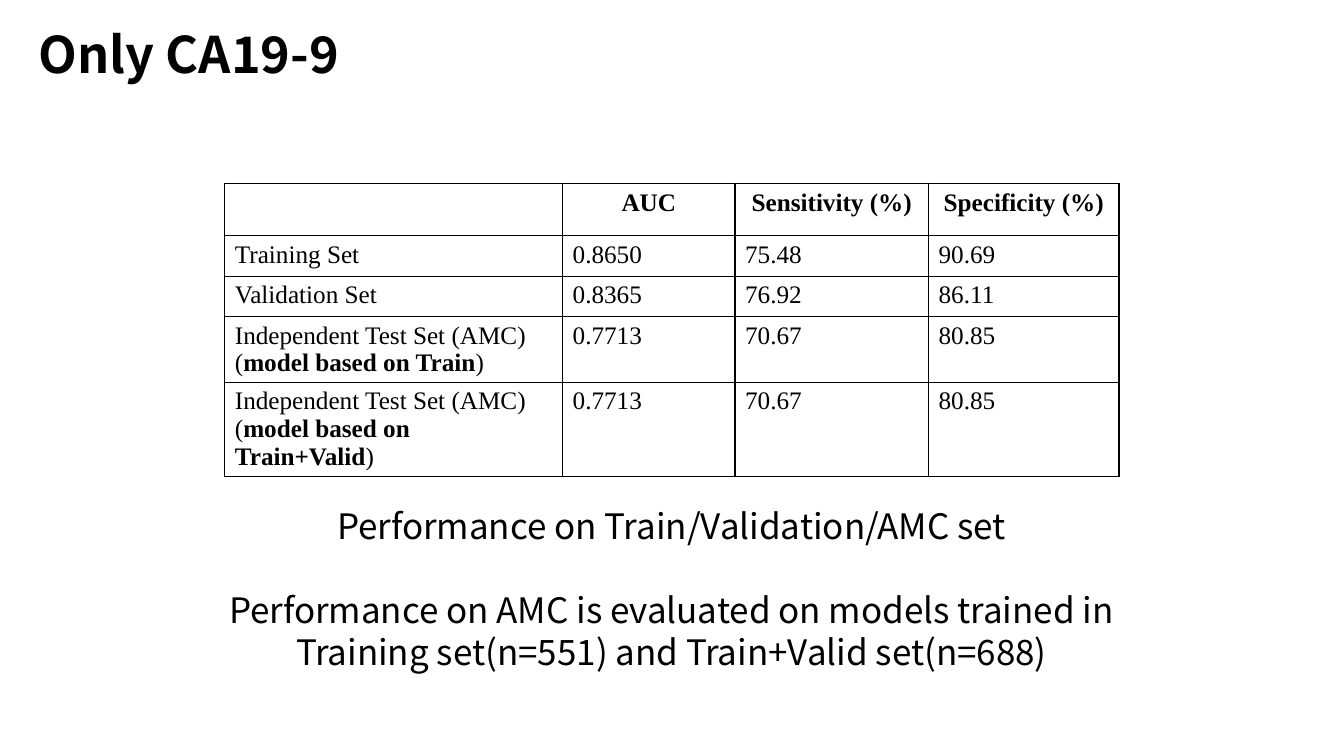
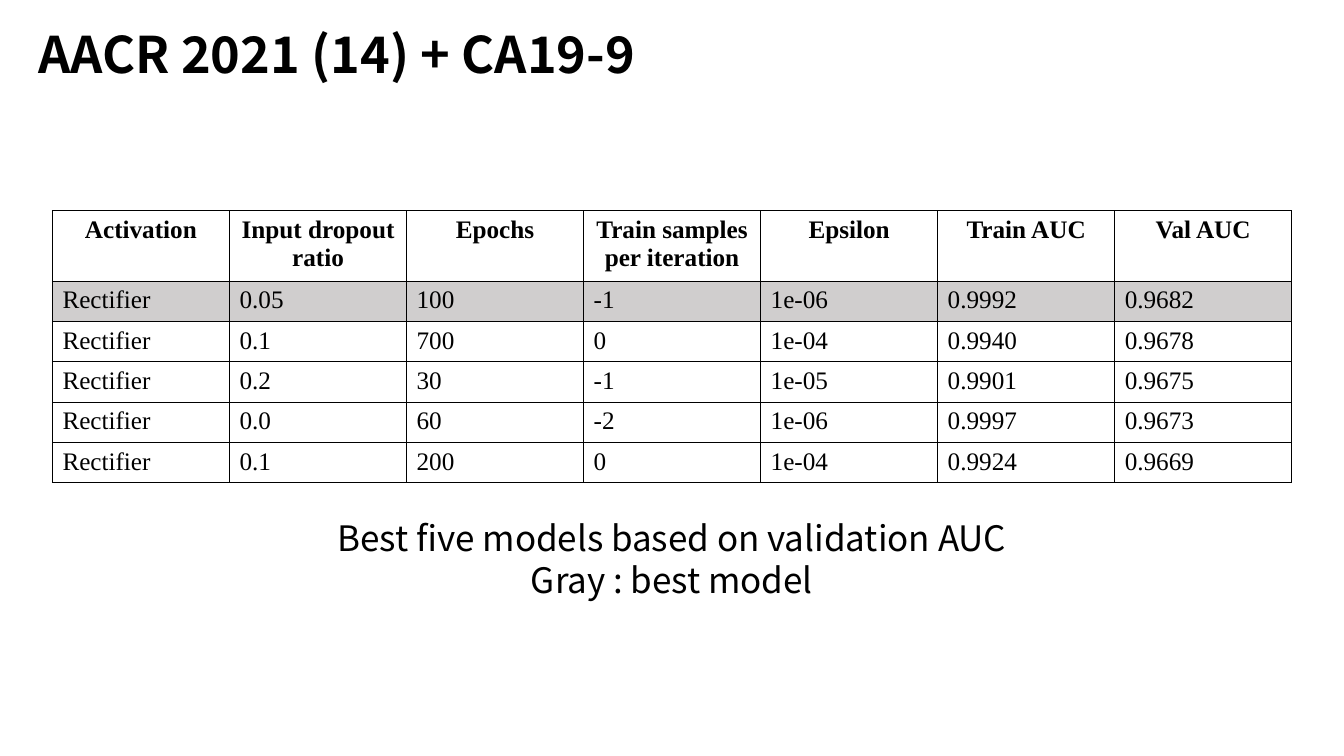
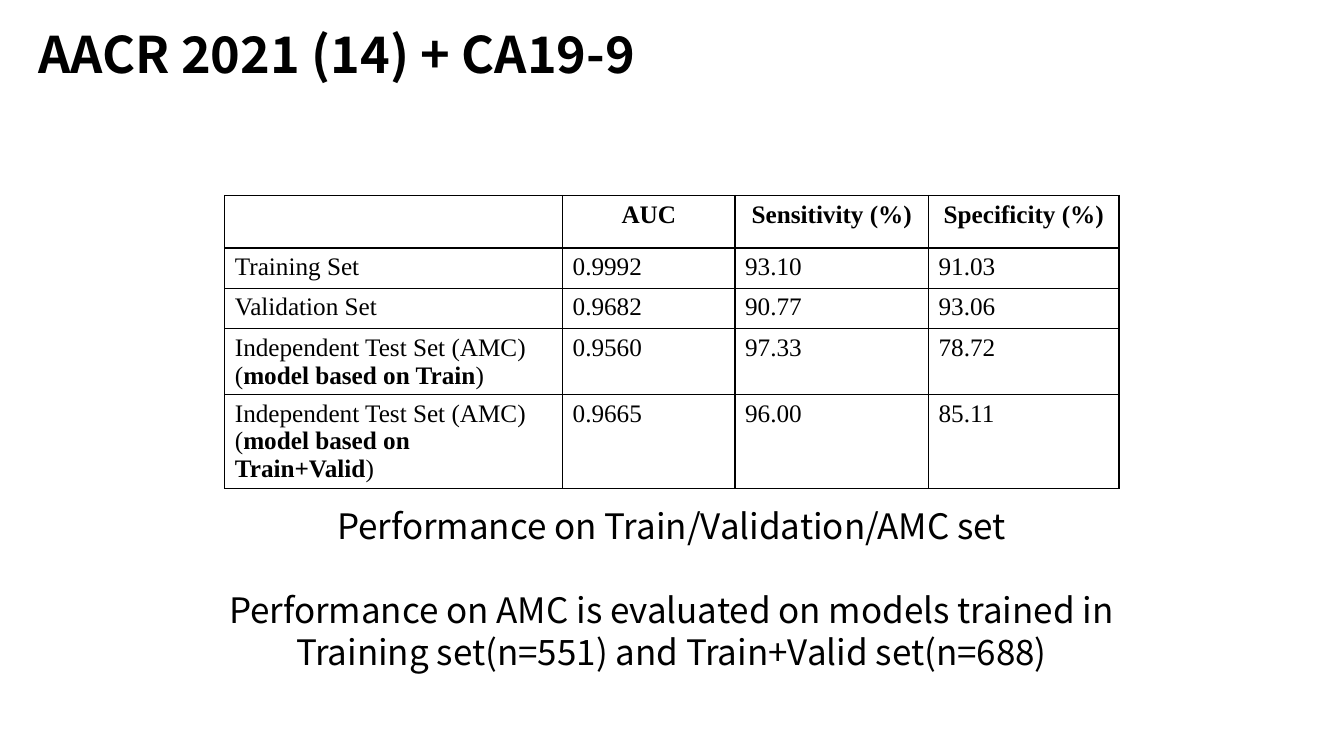
from lxml import etree
from pptx import Presentation
from pptx.dml.color import RGBColor
from pptx.enum import text
from pptx.oxml import ns
from pptx.util import Inches, Pt

BLACK = RGBColor(0x00, 0x00, 0x00)
WHITE = RGBColor(0xFF, 0xFF, 0xFF)
GRAY = RGBColor(0xD0, 0xCE, 0xCE)
SANS = "Noto Sans CJK KR"
SERIF = "Times New Roman"

TITLE_BOX = (0.28, -0.16, 11.5, 1.45)
CAPTION_SIZE = 25

METRIC_COLS = [3.35, 1.71, 1.92, 1.89]
METRIC_ROWS = [0.52, 0.4, 0.4, 0.65, 0.93]
METRIC_HEADER = ["", "AUC", "Sensitivity (%)", "Specificity (%)"]
# Text between ** marks is bold
METRIC_LABELS = [
    "Training Set",
    "Validation Set",
    "Independent Test Set (AMC)\n(**model based on Train**)",
    "Independent Test Set (AMC)\n(**model based on Train+Valid**)",
]
METRIC_CAPTION = [
    "Performance on Train/Validation/AMC set",
    "Performance on AMC is evaluated on models trained in "
    "Training set(n=551) and Train+Valid set(n=688)",
]

ONLY_CA19_9 = [
    ["0.8650", "75.48", "90.69"],
    ["0.8365", "76.92", "86.11"],
    ["0.7713", "70.67", "80.85"],
    ["0.7713", "70.67", "80.85"],
]
COMBINED = [
    ["0.9992", "93.10", "91.03"],
    ["0.9682", "90.77", "93.06"],
    ["0.9560", "97.33", "78.72"],
    ["0.9665", "96.00", "85.11"],
]
MODEL_HEADER = ["Activation", "Input dropout ratio", "Epochs",
                "Train samples per iteration", "Epsilon", "Train AUC", "Val AUC"]
BEST_MODELS = [
    ["Rectifier", "0.05", "100", "-1", "1e-06", "0.9992", "0.9682"],
    ["Rectifier", "0.1", "700", "0", "1e-04", "0.9940", "0.9678"],
    ["Rectifier", "0.2", "30", "-1", "1e-05", "0.9901", "0.9675"],
    ["Rectifier", "0.0", "60", "-2", "1e-06", "0.9997", "0.9673"],
    ["Rectifier", "0.1", "200", "0", "1e-04", "0.9924", "0.9669"],
]


def set_font(p, name, size, bold=False):
    p.font.name, p.font.size, p.font.bold = name, Pt(size), bold
    p.font.color.rgb = BLACK


def add_titled_slide(prs, title):
    s = prs.slides.add_slide(prs.slide_layouts[5])
    sp = s.shapes.title
    sp.left, sp.top, sp.width, sp.height = map(Inches, TITLE_BOX)
    tf = sp.text_frame
    tf.text = title
    tf.vertical_anchor = text.MSO_ANCHOR.MIDDLE
    tf.auto_size = text.MSO_AUTO_SIZE.NONE
    p = tf.paragraphs[0]
    p.alignment = text.PP_ALIGN.LEFT
    p.line_spacing = 0.9
    set_font(p, SANS, 36, bold=True)
    return s


def add_caption(s, box, lines, gap=0):
    """Centred lines, with gap points between them."""
    tf = s.shapes.add_textbox(*map(Inches, box)).text_frame
    tf.word_wrap = True
    for i, line in enumerate(lines):
        p = tf.add_paragraph() if i else tf.paragraphs[0]
        p.text = line
        p.alignment = text.PP_ALIGN.CENTER
        p.space_before = Pt(gap if i else 0)
        set_font(p, SANS, CAPTION_SIZE)


def set_borders(cell):
    tc_pr = cell._tc.get_or_add_tcPr()
    for side in ("a:lnL", "a:lnR", "a:lnT", "a:lnB"):
        ln = etree.SubElement(tc_pr, ns.qn(side), w=str(Pt(1)))
        fill = etree.SubElement(ln, ns.qn("a:solidFill"))
        etree.SubElement(fill, ns.qn("a:srgbClr"), val=str(BLACK))


def fill_cell(cell, content, header, color):
    set_borders(cell)
    cell.fill.solid()
    cell.fill.fore_color.rgb = color
    tf = cell.text_frame
    for i, line in enumerate(content.split("\n")):
        p = tf.add_paragraph() if i else tf.paragraphs[0]
        p.alignment = text.PP_ALIGN.CENTER if header else text.PP_ALIGN.LEFT
        set_font(p, SERIF, 18, bold=header)
        for j, part in enumerate(line.split("**")):
            r = p.add_run()
            r.text = part
            if j % 2:
                r.font.bold = True


def add_grid(s, left, top, cols, heights, rows, gray_row=None):
    """Bordered table whose first row is the header."""
    table = s.shapes.add_table(
        len(rows), len(cols), Inches(left), Inches(top),
        Inches(sum(cols)), Inches(sum(heights))).table
    table.first_row = table.horz_banding = False
    for column, width in zip(table.columns, cols):
        column.width = Inches(width)
    for i, (row, height) in enumerate(zip(rows, heights)):
        table.rows[i].height = Inches(height)
        for j, content in enumerate(row):
            fill_cell(table.cell(i, j), content, i == 0,
                      GRAY if i == gray_row else WHITE)


def add_metrics_slide(prs, title, top, values):
    s = add_titled_slide(prs, title)
    body = [[label] + row for label, row in zip(METRIC_LABELS, values)]
    add_grid(s, 2.23, top, METRIC_COLS, METRIC_ROWS, [METRIC_HEADER] + body)
    add_caption(s, (1.62, 4.96, 10.08, 1.78), METRIC_CAPTION, gap=30)


def add_models_slide(prs, title):
    s = add_titled_slide(prs, title)
    add_grid(s, 0.52, 2.09, [1.756] * 7, [0.7] + [0.4] * 5,
             [MODEL_HEADER] + BEST_MODELS, gray_row=1)
    add_caption(s, (2.51, 5.08, 8.31, 0.94),
                ["Best five models based on validation AUC", "Gray : best model"])


def main():
    prs = Presentation()
    prs.slide_width, prs.slide_height = Inches(13.33), Inches(7.5)
    add_metrics_slide(prs, "Only CA19-9", 1.82, ONLY_CA19_9)
    add_models_slide(prs, "AACR 2021 (14) + CA19-9")
    add_metrics_slide(prs, "AACR 2021 (14) + CA19-9", 1.94, COMBINED)
    prs.save("out.pptx")


if __name__ == "__main__":
    main()
